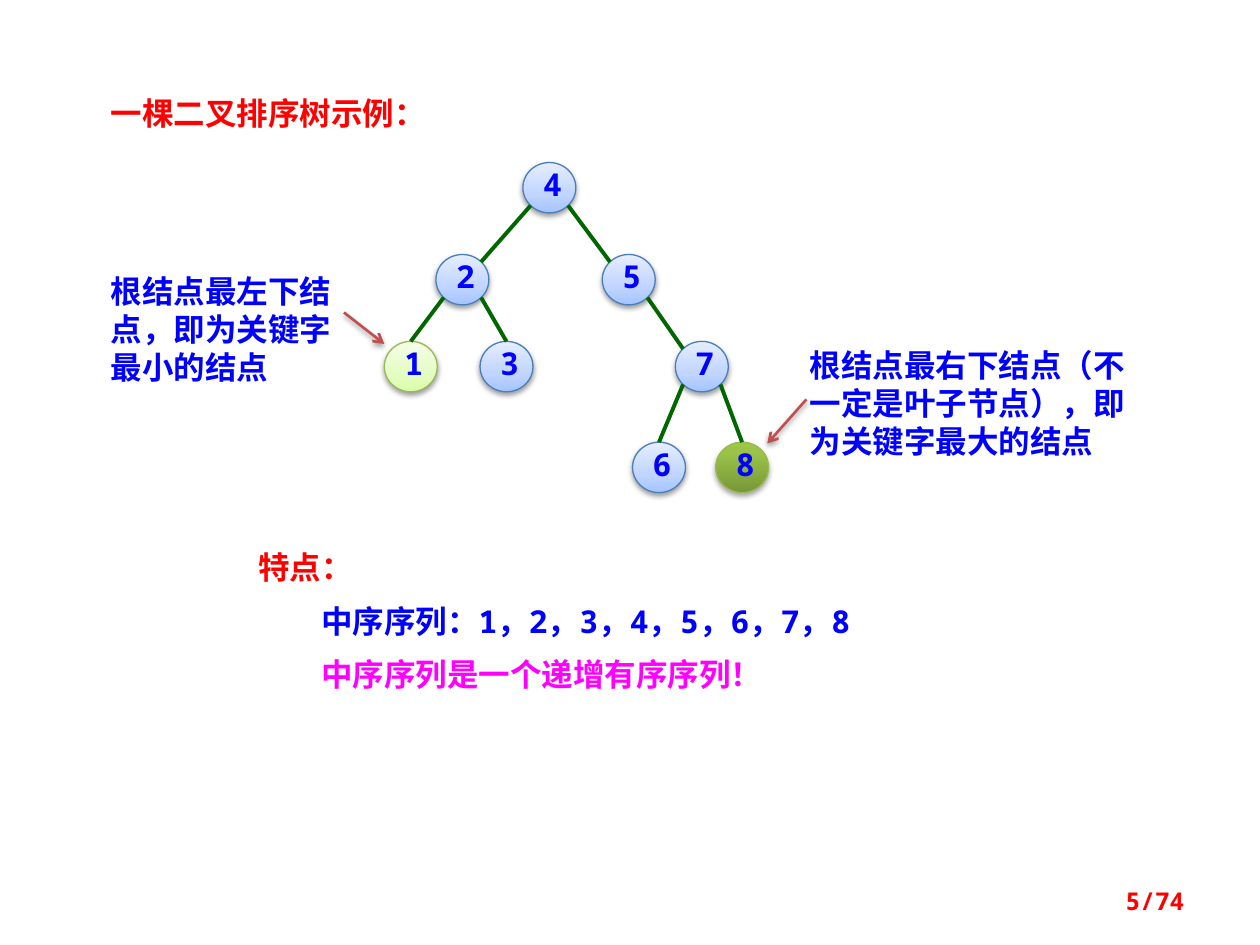
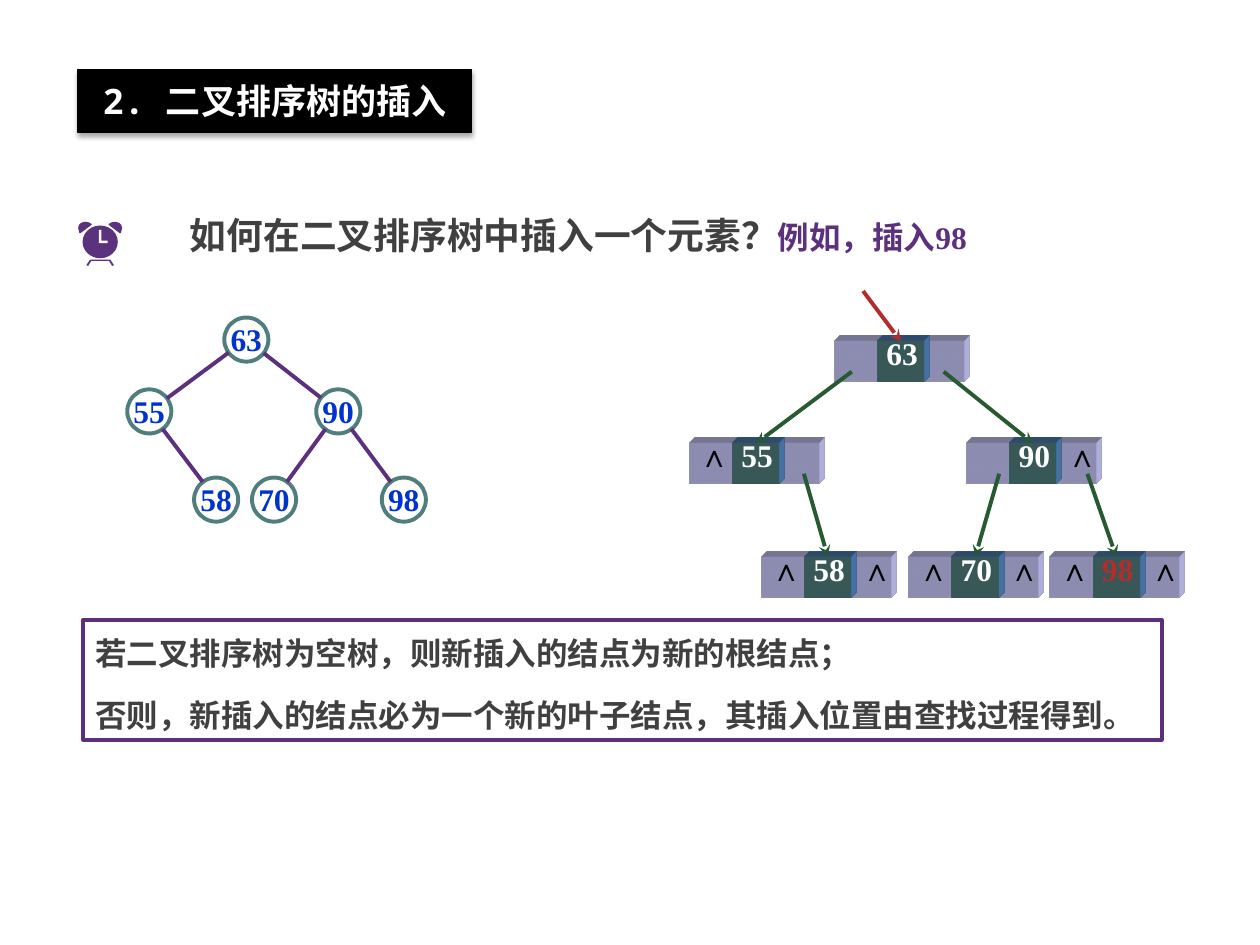
import math

from pptx import Presentation
from pptx import util as u
from pptx.dml.color import RGBColor
from pptx.enum import shapes, text
from pptx.oxml import ns, parse_xml

C = {
    "red": "FF0000", "blue": "0000FF", "magenta": "FF00FF", "edge": "006600",
    "arrow": "C0504D", "node_line": "4B7EBC", "lime_line": "98B955",
    "purple": "5C307D", "clock": "5A327D", "gray": "404040", "teal": "507D7D",
    "lavender": "C8C8FA", "side": "4F81BD", "key": "0033CC", "brick": "B42D2D",
    "link": "285A32", "white": "FFFFFF", "black": "000000",
}
GRADIENTS = {
    "node": [(0, "A4C4FF"), (35, "BFD4FF"), (100, "E6EEFF")],
    "smallest": [(0, "DAFDA7"), (35, "E4FCC2"), (100, "F5FFE7")],
    "largest": [(0, "779737"), (80, "9BC348"), (100, "9DC746")],
}
SOFT, STRONG = (38, 1.6), (35, 1.8)
MONO, CJK, SERIF = "Noto Sans Mono", "Noto Sans CJK SC", "Times New Roman"
COLS, ROWS = 100, 75
CELL = u.Inches(10) // COLS
TOP, MIDDLE = text.MSO_ANCHOR.TOP, text.MSO_ANCHOR.MIDDLE
LEFT, CENTER = text.PP_ALIGN.LEFT, text.PP_ALIGN.CENTER
RIGHT, JUSTIFY = text.PP_ALIGN.RIGHT, text.PP_ALIGN.JUSTIFY
OVAL, RECT = shapes.MSO_SHAPE.OVAL, shapes.MSO_SHAPE.RECTANGLE


def grid(*lengths):
    return [round(v * CELL) for v in lengths]


def rgb(name):
    return RGBColor.from_string(C[name])


def xml(body):
    return parse_xml(body.replace(">", f" {ns.nsdecls('a')}>", 1))


def effects(sp, shadow=None):
    body = ""
    if shadow:
        alpha, dist = shadow
        body = (f'<a:outerShdw blurRad="{u.Pt(3.1)}" dist="{u.Pt(dist)}" dir="5400000" rotWithShape="0">'
                f'<a:srgbClr val="000000"><a:alpha val="{alpha * 1000}"/></a:srgbClr></a:outerShdw>')
    spPr = sp._element.spPr
    old = spPr.find(ns.qn("a:effectLst"))
    if old is not None:
        spPr.remove(old)
    spPr.append(xml(f"<a:effectLst>{body}</a:effectLst>"))


def shape(s, kind, box, fill=None, line=None, width=0.75, shadow=None):
    sp = s.shapes.add_shape(kind, *grid(*box))
    paint(sp, fill, line, width)
    effects(sp, shadow)
    return sp


def paint(sp, fill, line=None, width=0.75):
    if fill in GRADIENTS:
        stops = "".join(f'<a:gs pos="{pos * 1000}"><a:srgbClr val="{c}"/></a:gs>'
                        for pos, c in GRADIENTS[fill])
        sp._element.spPr.append(xml(f'<a:gradFill rotWithShape="1"><a:gsLst>{stops}</a:gsLst>'
                                    '<a:lin ang="16200000" scaled="0"/></a:gradFill>'))
    elif fill:
        sp.fill.solid()
        sp.fill.fore_color.rgb = rgb(fill)
    else:
        sp.fill.background()
    if line:
        sp.line.color.rgb = rgb(line)
        sp.line.width = u.Pt(width)
    else:
        sp.line.fill.background()


def extrude(sp, color):
    spPr = sp._element.spPr
    spPr.append(xml('<a:scene3d><a:camera prst="legacyObliqueTopRight"/>'
                    '<a:lightRig rig="legacyFlat3" dir="b"/></a:scene3d>'))
    spPr.append(xml('<a:sp3d extrusionH="114300" prstMaterial="legacyMatte">'
                    f'<a:extrusionClr><a:srgbClr val="{C[color]}"/></a:extrusionClr></a:sp3d>'))


def line(s, start, end, color, width=2.25, head=None, shadow=None):
    sp = s.shapes.add_connector(shapes.MSO_CONNECTOR.STRAIGHT, *grid(*start, *end))
    sp.line.color.rgb = rgb(color)
    sp.line.width = u.Pt(width)
    if head:
        sp._element.spPr.find(ns.qn("a:ln")).append(xml(f'<a:tailEnd type="{head}"></a:tailEnd>'))
    effects(sp, shadow)
    return sp


def run(words, color, font=MONO, size=18):
    return words, color, font, size


def write(sp, paras, align=LEFT, anchor=TOP, spacing=None, insets=None, wrap=True, indent=0):
    tf = sp.text_frame
    tf.word_wrap = wrap
    tf.vertical_anchor = anchor
    if insets:
        tf.margin_left, tf.margin_top, tf.margin_right, tf.margin_bottom = map(u.Inches, insets)
    for i, runs in enumerate(paras):
        p = tf.paragraphs[0] if i == 0 else tf.add_paragraph()
        p.alignment = align
        if spacing:
            p.line_spacing = spacing
        if i:
            p.space_before = u.Pt(9)
            if indent:
                p.level = 1
                pPr = p._p.get_or_add_pPr()
                pPr.set("marL", str(grid(indent)[0]))
                pPr.set("indent", "0")
        for words, color, font, size in runs:
            r = p.add_run()
            r.text = words
            r.font.size = u.Pt(size)
            r.font.name = font
            r.font.bold = True
            r.font.color.rgb = rgb(color)
            r._r.get_or_add_rPr().append(xml(f'<a:ea typeface="{CJK}"></a:ea>'))


def label(s, box, paras, **style):
    write(s.shapes.add_textbox(*grid(*box)), paras, **style)


def shaded_tree(s, box):
    x0, y0, _, _ = box
    w, h = 4.2, 4
    nodes = {4: (11, 0), 2: (4.1, 7.3), 5: (17.3, 7.3), 1: (0, 14.2), 3: (7.6, 14.2),
             7: (23.1, 14.2), 6: (19.7, 22.2), 8: (26.3, 22.2)}
    edges = [(4, 2), (2, 1), (2, 3), (4, 5), (5, 7), (7, 6), (7, 8)]
    special = {1: ("smallest", "lime_line", SOFT), 8: ("largest", "lime_line", STRONG)}
    for key, (x, y) in nodes.items():
        fill, border, shadow = special.get(key, ("node", "node_line", SOFT))
        sp = shape(s, OVAL, (x0 + x, y0 + y, w, h), fill, border, shadow=shadow)
        write(sp, [[run(str(key), "blue")]], anchor=MIDDLE, spacing=0.8)
    centers = {k: (x0 + x + w / 2, y0 + y + h / 2) for k, (x, y) in nodes.items()}
    parents = {a for a, _ in edges}
    dx, dy = w / 2 * math.sqrt(0.5), h / 2 * math.sqrt(0.5)
    for a, b in edges:
        (ax, ay), (bx, by) = centers[a], centers[b]
        way = math.copysign(1, bx - ax)
        end = (bx - way * dx, by - dy) if b in parents else (bx, by - h / 2)
        line(s, (ax + way * dx, ay + dy), end, "edge")


def circle_tree(s, box):
    x0, y0, _, _ = box
    d = 3.5
    nodes = {63: (7.7, 0), 55: (0, 5.7), 90: (15, 5.7),
             58: (5.3, 12.7), 70: (9.9, 12.7), 98: (20.2, 12.7)}
    for key, (x, y) in nodes.items():
        sp = shape(s, OVAL, (x0 + x, y0 + y, d, d), None, "teal", 2.25)
        write(sp, [[run(str(key), "key", SERIF)]], align=CENTER, spacing=u.Pt(19.5),
              insets=(0, 0, 0, 0), wrap=False)
    for a, b in [(63, 55), (63, 90), (55, 58), (90, 70), (90, 98)]:
        (ax, ay), (bx, by) = nodes[a], nodes[b]
        share = d / 2 / math.hypot(bx - ax, by - ay)
        dx, dy = (bx - ax) * share, (by - ay) * share
        mx, my = x0 + d / 2, y0 + d / 2
        line(s, (mx + ax + dx, my + ay + dy), (mx + bx - dx, my + by - dy), "purple")


def linked_node(s, x, y, key, nulls, color):
    extrude(shape(s, RECT, (x, y, 10.3, 3.2), "lavender"), "lavender")
    cell = shape(s, RECT, (x + 3.45, y, 3.7, 3.2), "teal")
    extrude(cell, "side")
    write(cell, [[run(str(key), color, SERIF)]], align=JUSTIFY, spacing=0.8,
          insets=(0.07, 0, 0.01, 0.01))
    for side in nulls:
        label(s, (x + {"L": 0.1, "R": 7.3}[side], y - 0.1, 3.5, 3), [[run("∧", "black", SERIF)]],
              align=CENTER, spacing=0.8, insets=(0.04, 0.01, 0.01, 0.01))
    return cell


def linked_tree(s, box):
    x0, y0, _, _ = box
    nodes = {63: (11.5, 4, ""), 55: (0, 12.1, "L"), 90: (22, 12.1, "R"),
             58: (5.7, 21.1, "LR"), 70: (17.4, 21.1, "LR"), 98: (28.6, 21.1, "LR")}
    cells = {k: linked_node(s, x0 + x, y0 + y, k, nulls, "brick" if k == 98 else "white")
             for k, (x, y, nulls) in nodes.items()}
    links = [(63, 55, 1.4), (63, 90, 8.7), (55, 58, 9.1), (90, 70, 2.6), (90, 98, 9.6)]
    starts = [(nodes[a][0] + dx, nodes[a][1] + 2.4, b, "link") for a, b, dx in links]
    for x, y, b, color in [(13.8, 0, 63, "brick")] + starts:
        start = (x0 + x, y0 + y)
        line(s, start, start, color, head="stealth").end_connect(cells[b], 0)


def outline(s, points, color):
    fb = s.shapes.build_freeform(*grid(*points[0]), scale=1.0)
    fb.add_line_segments([grid(*p) for p in points[1:]], close=True)
    sp = fb.convert_to_shape()
    paint(sp, color)
    effects(sp)


def alarm_clock(s, box):
    x0, y0, w, _ = box
    ear = [(0.1, 0.9), (0, 0.5), (0.07, 0.25), (0.25, 0.08), (0.55, 0), (0.85, 0.05),
           (1.1, 0.2), (1, 0.3), (0.2, 0.9)]
    legs = [(0.65, 3.45), (0.95, 3), (2.55, 3), (2.85, 3.45), (2.7, 3.5),
            (2.45, 3.1), (1.05, 3.1), (0.8, 3.5)]
    hands = [(1.65, 0.65), (1.85, 0.65), (1.85, 1.5), (2.35, 1.5), (2.35, 1.7), (1.65, 1.7)]
    outline(s, [(x0 + x, y0 + y) for x, y in ear], "clock")
    outline(s, [(x0 + w - x, y0 + y) for x, y in ear], "clock")
    outline(s, [(x0 + x, y0 + y) for x, y in legs], "clock")
    shape(s, OVAL, (x0 + 0.35, y0 + 0.3, 2.8, 2.6), "clock")
    outline(s, [(x0 + x, y0 + y) for x, y in hands], "white")


def features(s, box):
    label(s, box, [[run("特点：", "red", CJK)],
                   [run("中序序列：1，2，3，4，5，6，7，8", "blue")],
                   [run("中序序列是一个递增有序序列！", "magenta")]], indent=5)


def note(s, box, words, start, end):
    label(s, box, [[run(words, "blue")]])
    x, y, _, _ = box
    line(s, (x + start[0], y + start[1]), (x + end[0], y + end[1]),
         "arrow", 1.5, "arrow", SOFT)


def page_number(s, box, words):
    label(s, box, [[run(words, "red", size=14)]], align=RIGHT, anchor=MIDDLE)


def section_title(s, box, words):
    sp = shape(s, RECT, box, "black", "black", shadow=STRONG)
    write(sp, [[run(words, "white", size=20)]], align=CENTER, insets=(0.1, 0.08, 0.1, 0.08))


def question(s, box):
    label(s, box, [[run("如何在二叉排序树中插入一个元素？", "gray", SERIF, 21),
                    run("例如，插入98", "purple", SERIF)]], align=CENTER, spacing=0.8)


def rule_box(s, box, lines):
    sp = shape(s, RECT, box, None, "purple", 2.25)
    write(sp, [[run(words, "gray", SERIF)] for words in lines], spacing=u.Pt(26.2))


def example_slide(s):
    label(s, (7.8, 7, 26.6, 4), [[run("一棵二叉排序树示例：", "red")]])
    shaded_tree(s, (30.5, 12.9, 30.5, 26.2))
    note(s, (7.8, 21.1, 21.9, 10.1), "根结点最左下结点，即为关键字最小的结点",
         (19.5, 3.7), (22.7, 6.2))
    note(s, (63.3, 27, 27.3, 10.1), "根结点最右下结点（不一定是叶子节点），即为关键字最大的结点",
         (0.7, 4.7), (-2.4, 8.2))
    features(s, (19.5, 43, 58.6, 13.1))
    page_number(s, (71.7, 69.5, 23.3, 4), "5/74")


def insertion_slide(s):
    alarm_clock(s, (6.2, 17.6, 3.5, 3.5))
    question(s, (11, 17.1, 69.8, 3.8))
    linked_tree(s, (54.7, 23.1, 38.9, 24.3))
    circle_tree(s, (10.1, 25.2, 23.7, 16.2))
    rule_box(s, (6.6, 49.2, 85.6, 9.5), [
        "若二叉排序树为空树，则新插入的结点为新的根结点；",
        "否则，新插入的结点必为一个新的叶子结点，其插入位置由查找过程得到。"])
    section_title(s, (6.2, 5.5, 31.2, 5), "2. 二叉排序树的插入")


def main():
    prs = Presentation()
    prs.slide_width, prs.slide_height = COLS * CELL, ROWS * CELL
    for build in (example_slide, insertion_slide):
        build(prs.slides.add_slide(prs.slide_layouts[6]))
    prs.save("out.pptx")


if __name__ == "__main__":
    main()
